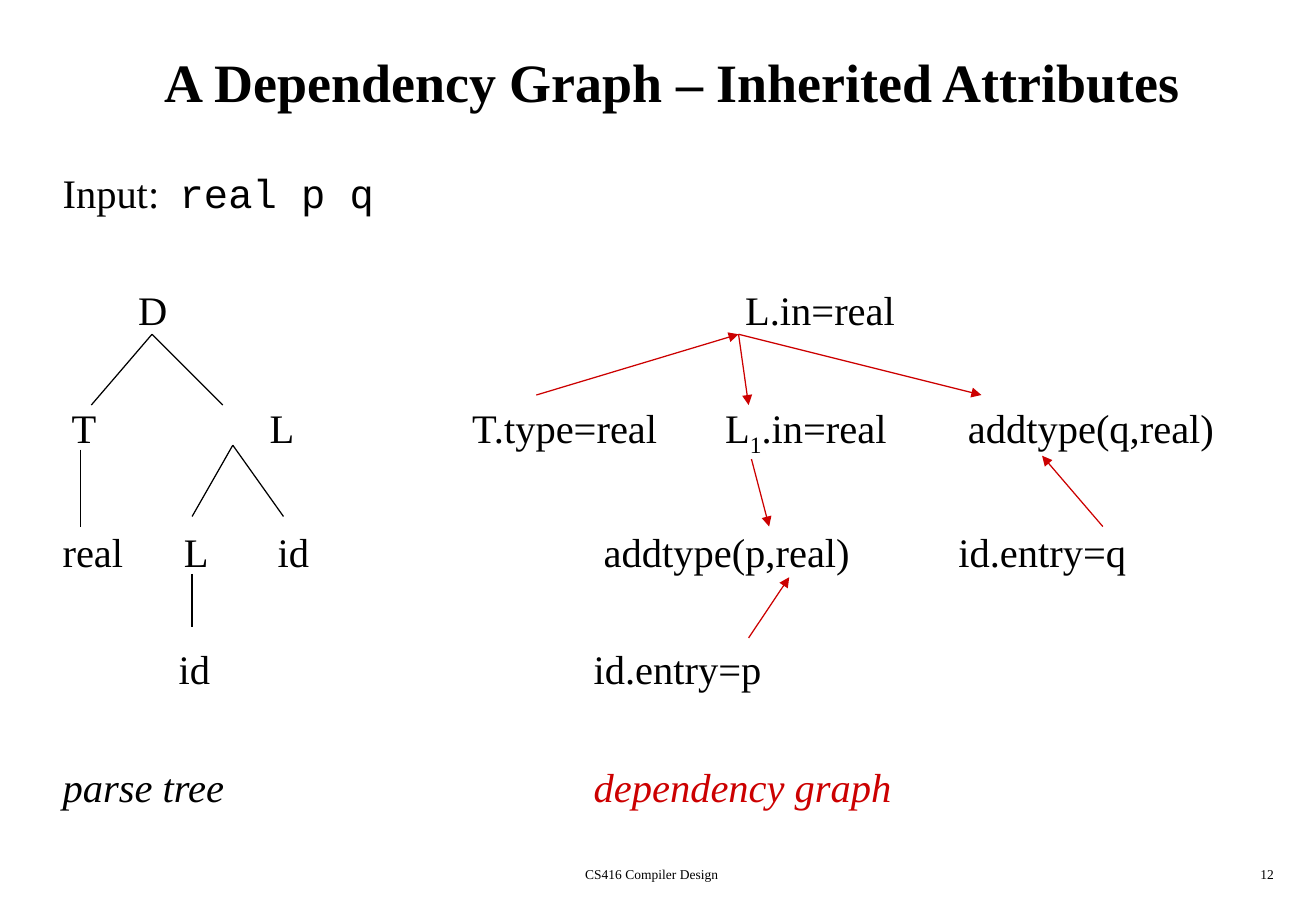
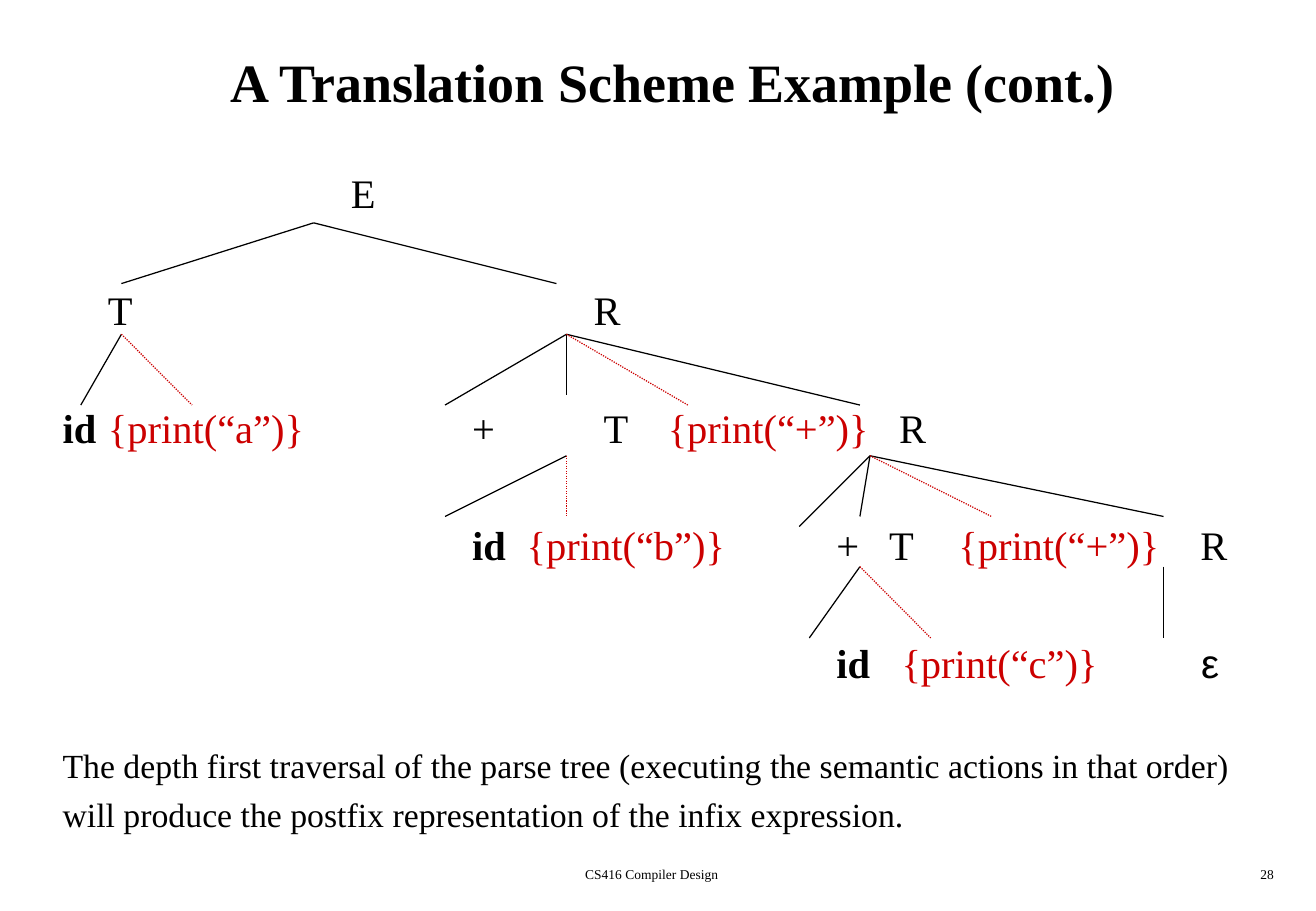
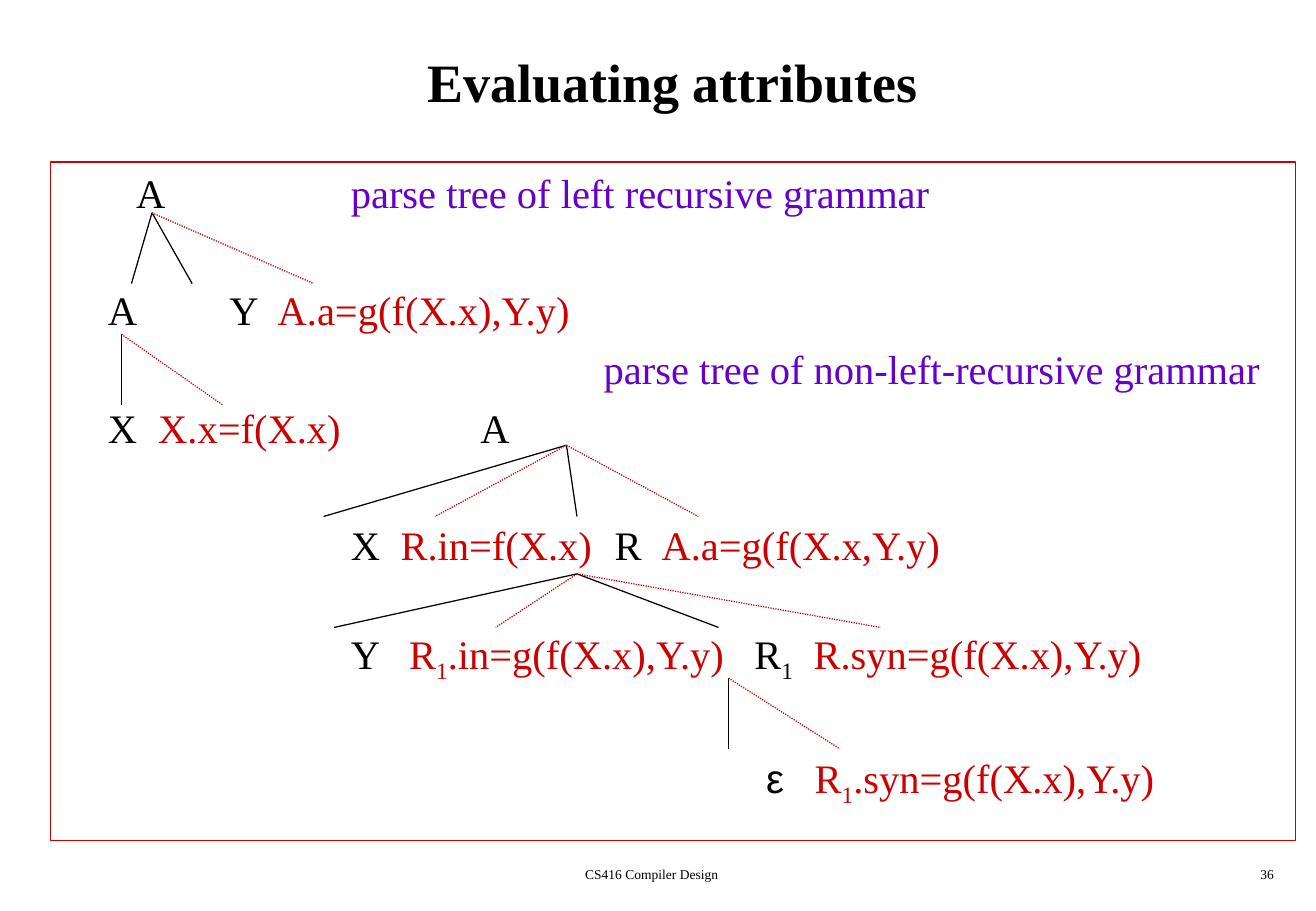
from lxml.etree import SubElement
from pptx import Presentation
from pptx.dml.color import RGBColor
from pptx.enum.dml import MSO_LINE
from pptx.enum.shapes import MSO_CONNECTOR
from pptx.enum.text import MSO_ANCHOR, PP_ALIGN
from pptx.oxml.ns import qn
from pptx.util import Cm, Pt

STRAIGHT = MSO_CONNECTOR.STRAIGHT
DOTTED = MSO_LINE.ROUND_DOT
MIDDLE, TOP = MSO_ANCHOR.MIDDLE, MSO_ANCHOR.TOP
LEFT, CENTER, RIGHT = PP_ALIGN.LEFT, PP_ALIGN.CENTER, PP_ALIGN.RIGHT

# Shared look
BLACK, RED, PURPLE = "000000", "CC0000", "6600CC"
SERIF, SANS, MONO = "Times New Roman", "Arial", "Courier New"
STYLES = {  # font, colour, bold, italic
    "plain": (SERIF, BLACK, False, False),
    "action": (SERIF, RED, False, False),
    "heading": (SERIF, PURPLE, False, False),
    "bold": (SERIF, BLACK, True, False),
    "caption": (SERIF, BLACK, False, True),
    "red caption": (SERIF, RED, False, True),
    "symbol": (SANS, BLACK, False, False),
    "code": (MONO, BLACK, False, False),
}
EDGES = {  # colour, dotted, arrowhead
    "branch": (BLACK, False, False),
    "action": (RED, True, False),
    "arrow": (RED, False, True),
}
BODY_SIZE, NOTE_SIZE = 24, 20
LEVEL = 40.8  # space before a tree level, in points
NEXT_LINE = 6

# Each row: space before, size, labels as (tab position in cm, text, style).
# An underscore lowers the character after it.
# Each fan: edge kind, start point, end points (cm).
SLIDES = [
    {
        "title": "A Dependency Graph – Inherited Attributes",
        "number": "12",
        "framed": False,
        "rows": [
            (0, BODY_SIZE, [(0, "Input:", "plain"), (2.45, "real p q", "code")]),
            (LEVEL, BODY_SIZE, [(1.58, "D", "plain"), (14.28, "L.in=real", "plain")]),
            (LEVEL, BODY_SIZE, [
                (0.19, "T", "plain"), (4.33, "L", "plain"),
                (8.57, "T.type=real", "plain"), (13.86, "L_1.in=real", "plain"),
                (18.94, "addtype(q,real)", "plain")]),
            (LEVEL, BODY_SIZE, [
                (0, "real", "plain"), (2.54, "L", "plain"), (4.5, "id", "plain"),
                (11.32, "addtype(p,real)", "plain"), (18.74, "id.entry=q", "plain")]),
            (LEVEL, BODY_SIZE, [(2.43, "id", "plain"), (11.11, "id.entry=p", "plain")]),
            (LEVEL, BODY_SIZE, [
                (0, "parse tree", "caption"),
                (11.11, "dependency graph", "red caption")]),
        ],
        "fans": [
            ("branch", (3.18, 6.99), [(1.91, 8.47), (4.66, 8.47)]),
            ("branch", (1.69, 9.4), [(1.69, 11.01)]),
            ("branch", (4.87, 9.31), [(4.02, 10.8), (5.93, 10.8)]),
            ("branch", (4.02, 12), [(4.02, 13.12)]),
            ("arrow", (11.22, 8.26), [(15.45, 6.99)]),
            ("arrow", (15.45, 6.99), [(15.66, 8.47), (20.53, 8.26)]),
            ("arrow", (15.72, 9.6), [(16.09, 11.01)]),
            ("arrow", (15.66, 13.34), [(16.51, 12.07)]),
            ("arrow", (23.07, 11.01), [(21.8, 9.53)]),
        ],
    },
    {
        "title": "A Translation Scheme Example (cont.)",
        "number": "28",
        "framed": False,
        "rows": [
            (0, BODY_SIZE, [(6.03, "E", "plain")]),
            (LEVEL, BODY_SIZE, [(0.95, "T", "plain"), (11.11, "R", "plain")]),
            (LEVEL, BODY_SIZE, [
                (0, "id", "bold"), (0.95, "{print(“a”)}", "action"),
                (8.57, "+", "plain"), (11.32, "T", "plain"),
                (12.66, "{print(“+”)}", "action"), (17.5, "R", "plain")]),
            (LEVEL, BODY_SIZE, [
                (8.57, "id", "bold"), (9.71, "{print(“b”)}", "action"),
                (16.19, "+", "plain"), (17.29, "T", "plain"),
                (18.74, "{print(“+”)}", "action"), (23.8, "R", "plain")]),
            (LEVEL, BODY_SIZE, [
                (16.19, "id", "bold"), (17.55, "{print(“c”)}", "action"),
                (23.82, "ε", "symbol")]),
            (34.5, NOTE_SIZE, [
                (0, "The depth first traversal of the parse tree "
                    "(executing the semantic actions in that order)", "plain")]),
            (5, NOTE_SIZE, [
                (0, "will produce the postfix representation "
                    "of the infix expression.", "plain")]),
        ],
        "fans": [
            ("branch", (6.56, 4.66), [(2.54, 5.93), (11.64, 5.93)]),
            ("branch", (2.54, 6.99), [(1.69, 8.47)]),
            ("branch", (11.85, 6.99), [(9.31, 8.47), (11.85, 8.26), (17.99, 8.47)]),
            ("branch", (11.85, 9.53), [(9.31, 10.8)]),
            ("branch", (18.2, 9.53), [(16.72, 11.01), (17.99, 10.8), (24.34, 10.8)]),
            ("branch", (17.99, 11.85), [(16.93, 13.34)]),
            ("branch", (24.34, 11.85), [(24.34, 13.34)]),
            ("action", (2.54, 6.99), [(4.02, 8.47)]),
            ("action", (11.85, 6.99), [(14.39, 8.47)]),
            ("action", (11.85, 9.53), [(11.85, 10.8)]),
            ("action", (18.2, 9.53), [(20.74, 10.8)]),
            ("action", (17.99, 11.85), [(19.47, 13.34)]),
        ],
    },
    {
        "title": "Evaluating attributes",
        "number": "36",
        "framed": True,
        "rows": [
            (0, BODY_SIZE, [
                (1.54, "A", "plain"),
                (6.03, "parse tree of left recursive grammar", "heading")]),
            (LEVEL, BODY_SIZE, [
                (0.95, "A", "plain"), (3.49, "Y", "plain"),
                (4.5, "A.a=g(f(X.x),Y.y)", "action")]),
            (NEXT_LINE, BODY_SIZE, [
                (11.32, "parse tree of non-left-recursive grammar", "heading")]),
            (NEXT_LINE, BODY_SIZE, [
                (0.95, "X", "plain"), (2, "X.x=f(X.x)", "action"),
                (8.74, "A", "plain")]),
            (LEVEL, BODY_SIZE, [
                (6.03, "X", "plain"), (7.07, "R.in=f(X.x)", "action"),
                (11.55, "R", "plain"), (12.53, "A.a=g(f(X.x,Y.y)", "action")]),
            (35.5, BODY_SIZE, [
                (6.03, "Y", "plain"), (7.25, "R_1.in=g(f(X.x),Y.y)", "action"),
                (14.47, "R_1", "plain"), (15.71, "R.syn=g(f(X.x),Y.y)", "action")]),
            (LEVEL, BODY_SIZE, [
                (14.72, "ε", "symbol"), (15.73, "R_1.syn=g(f(X.x),Y.y)", "action")]),
        ],
        "fans": [
            ("branch", (3.18, 4.45), [(2.75, 5.93), (4.02, 5.93)]),
            ("action", (3.18, 4.45), [(6.56, 5.93)]),
            ("branch", (2.54, 6.99), [(2.54, 8.47)]),
            ("action", (2.54, 6.99), [(4.66, 8.47)]),
            ("branch", (11.85, 9.31), [(6.77, 10.8), (12.07, 10.8)]),
            ("action", (11.85, 9.31), [(9.1, 10.8), (14.61, 10.8)]),
            ("branch", (12.07, 12), [(6.99, 13.12), (15.03, 13.12)]),
            ("action", (12.07, 12), [(10.37, 13.12), (18.42, 13.12)]),
            ("branch", (15.24, 14.18), [(15.24, 15.66)]),
            ("action", (15.24, 14.18), [(17.57, 15.66)]),
        ],
    },
]


def color(hex_string):
    return RGBColor.from_string(hex_string)


def add_text(slide, box, text, size, style, align=LEFT, anchor=TOP):
    shape = slide.shapes.add_textbox(*[Cm(length) for length in box])
    shape.text_frame.word_wrap = True
    shape.text_frame.vertical_anchor = anchor
    paragraph = shape.text_frame.paragraphs[0]
    paragraph.text = text
    paragraph.alignment = align
    for run in paragraph.runs:
        run.font.size = Pt(size)
        run.font.name, hex_string, run.font.bold, run.font.italic = STYLES[style]
        run.font.color.rgb = color(hex_string)
    return shape


presentation = Presentation()
presentation.slide_width, presentation.slide_height = Cm(27.53), Cm(19.05)

for content in SLIDES:
    slide = presentation.slides.add_slide(presentation.slide_layouts[6])

    # Title
    add_text(slide, (1.06, 0.42, 26.04, 2.54), content["title"], 32, "bold",
             CENTER, MIDDLE)

    # Body: one paragraph per tree level, labels set on tab stops
    body = add_text(slide, (1.06, 3.39, 26.04, 14.18), "", BODY_SIZE, "plain")
    if content["framed"]:
        body.line.color.rgb = color(RED)
        body.line.width = Pt(0.75)
    for index, (space_before, size, labels) in enumerate(content["rows"]):
        frame = body.text_frame
        paragraph = frame.add_paragraph() if index else frame.paragraphs[0]
        stops = [stop for stop, _, _ in labels if stop]
        if stops:
            tab_list = SubElement(paragraph._p.get_or_add_pPr(), qn("a:tabLst"))
            for stop in stops:
                SubElement(tab_list, qn("a:tab"), pos=str(int(Cm(stop))), algn="l")
        paragraph.space_before = Pt(space_before)
        for stop, text, style in labels:
            base, *lowered = text.split("_")
            pieces = [("\t" + base if stop else base, False)]
            for part in lowered:
                pieces += [(part[0], True), (part[1:], False)]
            for piece, is_subscript in pieces:
                if not piece:
                    continue
                run = paragraph.add_run()
                run.text = piece
                run.font.size = Pt(size)
                run.font.name, hex_string, run.font.bold, run.font.italic = STYLES[style]
                run.font.color.rgb = color(hex_string)
                if is_subscript:
                    run.font._element.set("baseline", "-25000")

    # Tree branches and dependency arrows
    for kind, start, ends in content["fans"]:
        hex_string, dotted, arrow = EDGES[kind]
        for end in ends:
            edge = slide.shapes.add_connector(
                STRAIGHT, *[Cm(length) for length in start + end])
            edge.line.color.rgb = color(hex_string)
            edge.line.width = Pt(0.75)
            if dotted:
                edge.line.dash_style = DOTTED
            properties = edge._element.spPr
            if arrow:
                SubElement(properties.find(qn("a:ln")), qn("a:tailEnd"), type="triangle")
            SubElement(properties, qn("a:effectLst"))

    # Footer
    add_text(slide, (8.48, 17.99, 10.31, 0.64), "CS416 Compiler Design", 8, "plain", CENTER)
    add_text(slide, (21.16, 17.99, 5.74, 0.64), content["number"], 8, "plain", RIGHT)

presentation.save("out.pptx")
